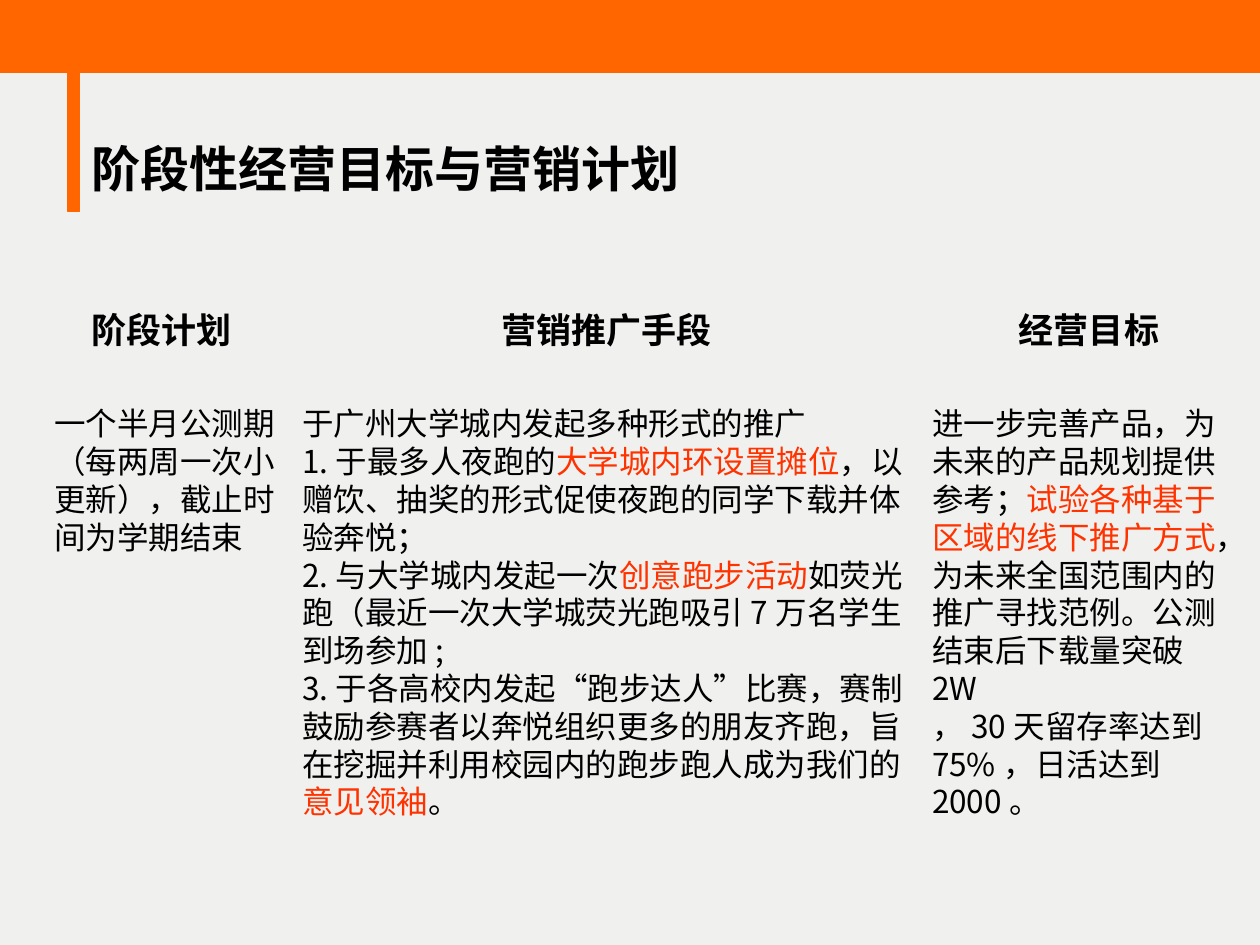
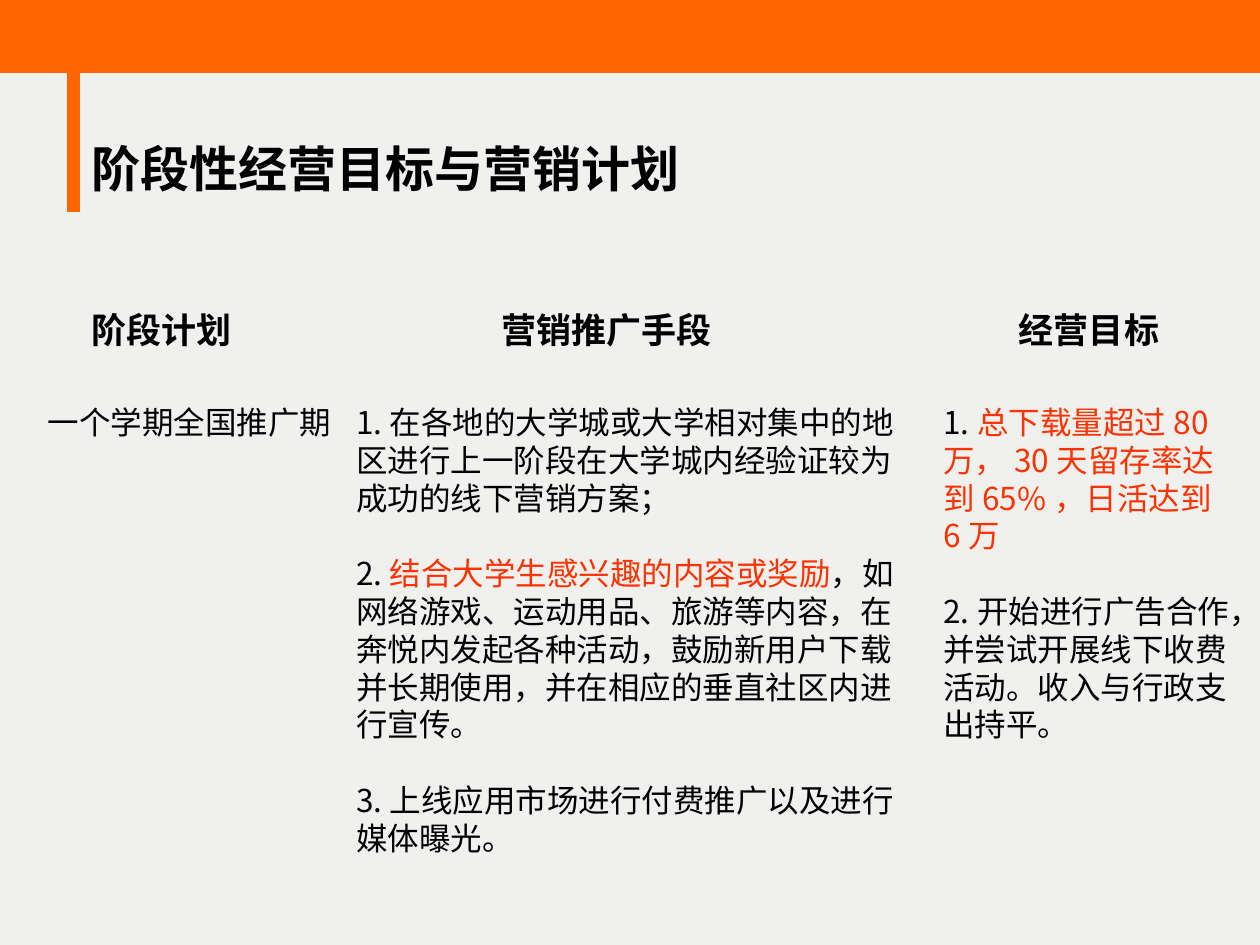
from dataclasses import dataclass

from pptx import Presentation, util as u
from pptx.dml.color import RGBColor
from pptx.enum import lang, shapes, text
from pptx.oxml.ns import qn

ORANGE = "FF6600"
RED = "FF3300"
BLACK = "000000"
PAPER = "F0F0EF"
CJK = "Noto Sans CJK SC"
TITLE = "阶段性经营目标与营销计划"
BODY_SIZE = 18
LINE_RATIO = 1.2


@dataclass(frozen=True)
class Box:
    left: float
    top: float
    width: float
    height: float


@dataclass(frozen=True)
class Block:
    box: Box
    paragraphs: tuple[str, ...]
    size: int = BODY_SIZE
    font: str = CJK
    bold: bool = False
    gap: float = 0


BARS = (Box(0, 0, 25.4, 1.47), Box(1.37, 0.69, 0.23, 3.58))
TITLE_BOX = Box(1.6, 2.67, 12.6, 1.45)

HEADINGS = (
    Block(Box(1.6, 6.1, 5.33, 1.12), ("阶段计划",), 20, "Arial", True),
    Block(Box(9.86, 6.1, 6.38, 1.12), ("营销推广手段",), 20, bold=True),
    Block(Box(20.29, 6.1, 3.5, 1.12), ("经营目标",), 20, bold=True),
)

BETA_STAGE = (
    Block(Box(0.84, 8.03, 5.51, 4.06), (
        "一个半月公测期（每两周一次小更新），截止时间为学期结束",
    )),
    Block(Box(5.84, 8.03, 12.7, 9.4), (
        "于广州大学城内发起多种形式的推广",
        "1.于最多人夜跑的*大学城内环设置摊位*，以赠饮、抽奖的形式促使夜跑的同学下载并体验奔悦；",
        "2.与大学城内发起一次*创意跑步活动*如荧光跑（最近一次大学城荧光跑吸引7万名学生到场参加;",
        "3.于各高校内发起“跑步达人”比赛，赛制鼓励参赛者以奔悦组织更多的朋友齐跑，"
        "旨在挖掘并利用校园内的跑步跑人成为我们的*意见领袖*。",
    )),
    Block(Box(18.54, 8.03, 6.6, 8.64), (
        "进一步完善产品，为未来的产品规划提供参考；*试验各种基于区域的线下推广方式*，"
        "为未来全国范围内的推广寻找范例。公测结束后下载量突破2W",
        "，30天留存率达到75%，日活达到2000。",
    )),
)

BLANK_LINE = BODY_SIZE * LINE_RATIO

NATIONAL_STAGE = (
    Block(Box(0.71, 8, 6.5, 1.02), ("一个学期全国推广期",)),
    Block(Box(6.93, 8, 11.84, 10.16), (
        "1.在各地的大学城或大学相对集中的地区进行上一阶段在大学城内经验证较为成功的线下营销方案；",
        "2.*结合大学生感兴趣的内容或奖励*，如网络游戏、运动用品、旅游等内容，"
        "在奔悦内发起各种活动，鼓励新用户下载并长期使用，并在相应的垂直社区内进行宣传。",
        "3.上线应用市场进行付费推广以及进行媒体曝光。",
    ), gap=BLANK_LINE),
    Block(Box(18.77, 8, 6.32, 7.11), (
        "1.*总下载量超过80万，30天留存率达到65%，日活达到6万*",
        "2.开始进行广告合作，并尝试开展线下收费活动。收入与行政支出持平。",
    ), gap=BLANK_LINE),
)


def rgb(value: str) -> RGBColor:
    return RGBColor.from_string(value)


def place(box: Box) -> tuple:
    return tuple(u.Cm(v) for v in (box.left, box.top, box.width, box.height))


def add_run(p, content: str, *, size: int, font: str, bold: bool, color: str) -> None:
    r = p.add_run()
    r.text = content
    f = r.font
    f.name, f.size, f.bold = font, u.Pt(size), bold
    f.color.rgb = rgb(color)
    f.language_id = lang.MSO_LANGUAGE_ID.SIMPLIFIED_CHINESE
    ea = r._r.get_or_add_rPr().makeelement(qn("a:ea"), {"typeface": CJK})
    r._r.rPr.find(qn("a:latin")).addnext(ea)


def write(tf, paragraphs: tuple[str, ...], *, size: int = BODY_SIZE,
          font: str = CJK, bold: bool = False, gap: float = 0) -> None:
    tf.word_wrap = True
    tf.auto_size = text.MSO_AUTO_SIZE.NONE
    tf.vertical_anchor = text.MSO_ANCHOR.TOP
    for i, content in enumerate(paragraphs):
        p = tf.add_paragraph() if i else tf.paragraphs[0]
        p.alignment = text.PP_ALIGN.LEFT
        p.line_spacing = u.Pt(size * LINE_RATIO)
        p.space_before = u.Pt(gap if i else 0)
        for j, part in enumerate(content.split("*")):
            if part:
                add_run(p, part, size=size, font=font, bold=bold,
                        color=RED if j % 2 else BLACK)


def add_bar(s, box: Box) -> None:
    sp = s.shapes.add_shape(shapes.MSO_SHAPE.RECTANGLE, *place(box))
    sp.shadow.inherit = False
    sp.fill.solid()
    sp.fill.fore_color.rgb = rgb(ORANGE)
    sp.line.color.rgb = rgb(ORANGE)
    sp.line.width = u.Pt(0.75)


def add_block(s, block: Block) -> None:
    sp = s.shapes.add_textbox(*place(block.box))
    write(sp.text_frame, block.paragraphs, size=block.size, font=block.font,
          bold=block.bold, gap=block.gap)


def add_stage(prs, columns: tuple[Block, ...]) -> None:
    s = prs.slides.add_slide(prs.slide_layouts[5])
    title = s.shapes.title
    title.left, title.top, title.width, title.height = place(TITLE_BOX)
    write(title.text_frame, (TITLE,), size=28, font="Arial", bold=True)
    for bar in BARS:
        add_bar(s, bar)
    for block in HEADINGS + columns:
        add_block(s, block)


def main() -> None:
    prs = Presentation()
    prs.slide_width, prs.slide_height = u.Cm(25.4), u.Cm(19.05)
    fill = prs.slide_master.background.fill
    fill.solid()
    fill.fore_color.rgb = rgb(PAPER)
    for columns in (BETA_STAGE, NATIONAL_STAGE):
        add_stage(prs, columns)
    prs.save("out.pptx")


if __name__ == "__main__":
    main()
